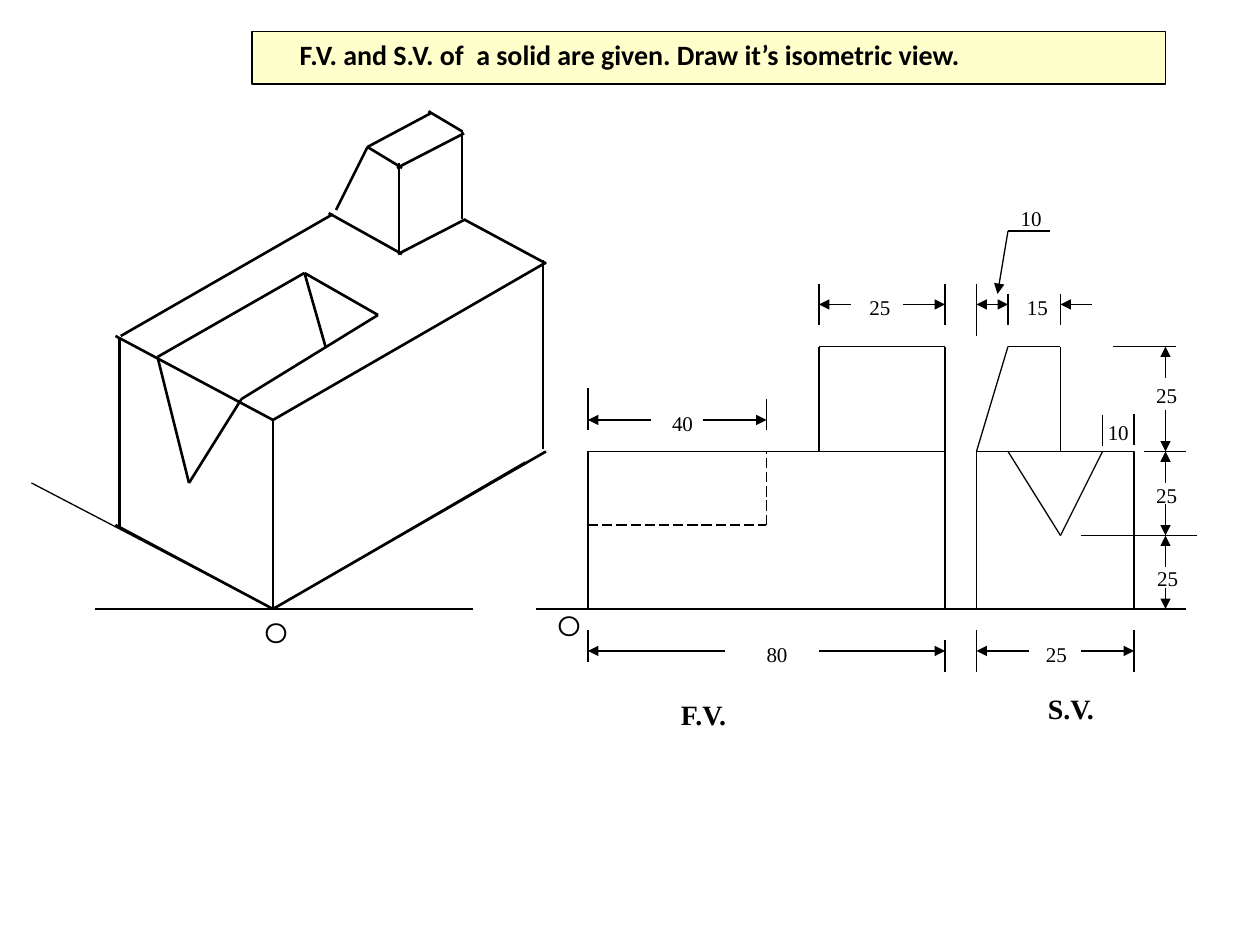
"""Builds a slide giving front and side views of a solid with its isometric view."""
import itertools

import lxml.etree
import pptx
import pptx.dml.color
import pptx.enum.dml
import pptx.enum.shapes
import pptx.enum.text
import pptx.oxml.ns
import pptx.util

COLORS = {"ink": "000000", "paper": "FFFFFF", "banner": "FFFFCC"}
INK = pptx.dml.color.RGBColor.from_string(COLORS["ink"])

deck = pptx.Presentation()
deck.slide_width = pptx.util.Inches(10)
deck.slide_height = pptx.util.Inches(7.5)
page = deck.slides.add_slide(deck.slide_layouts[6])
COLUMN = deck.slide_width / 120
ROW = deck.slide_height / 90


def draw_path(points, weight=0.75, dashed=False, ends=()):
    for (x1, y1), (x2, y2) in itertools.pairwise(points):
        line = page.shapes.add_connector(
            pptx.enum.shapes.MSO_CONNECTOR.STRAIGHT,
            round(x1 * COLUMN), round(y1 * ROW), round(x2 * COLUMN), round(y2 * ROW))
        line.line.color.rgb = INK
        line.line.width = pptx.util.Pt(weight)
        if dashed:
            line.line.dash_style = pptx.enum.dml.MSO_LINE.LONG_DASH
        for end in ends:
            tag = pptx.oxml.ns.qn(f"a:{end}End")
            lxml.etree.SubElement(line.line._get_or_add_ln(), tag, type="triangle")
        properties = line._element.spPr
        lxml.etree.SubElement(properties, pptx.oxml.ns.qn("a:effectLst"))


def add_label(text, x, y, width, height, size, font, bold=False):
    box = page.shapes.add_textbox(
        round((x - width / 2) * COLUMN), round((y - height / 2) * ROW),
        round(width * COLUMN), round(height * ROW))
    box.text_frame.word_wrap = False
    box.text_frame.text = text
    para = box.text_frame.paragraphs[0]
    para.alignment = pptx.enum.text.PP_ALIGN.CENTER
    span = para.runs[0]
    span.font.size = pptx.util.Pt(size)
    span.font.name = font
    span.font.bold = bold
    span.font.color.rgb = INK


panels = [(24, 3, 87, 5, "banner"), (93, 43, 15, 15, "paper")]
for left, top, width, height, color in panels:
    panel = page.shapes.add_shape(
        pptx.enum.shapes.MSO_SHAPE.RECTANGLE,
        round(left * COLUMN), round(top * ROW), round(width * COLUMN), round(height * ROW))
    panel.shadow.inherit = False
    panel.fill.solid()
    panel.fill.fore_color.rgb = pptx.dml.color.RGBColor.from_string(COLORS[color])
    panel.line.color.rgb = INK
    panel.line.width = pptx.util.Pt(0.75)

isometric_edges = [
    [(26, 58), (26, 40), (52, 25)],
    [(26, 58), (52, 43)],
    [(51.7, 42.8), (51.7, 24.8)],
    [(26, 40), (11, 32)],
    [(11.4, 50.2), (11.4, 32.2)],
    [(11.5, 32), (31.7, 20.4)],
    [(26, 58), (11, 50)],
    [(52, 25.1), (44.2, 20.9)],
    [(15, 34), (18, 46), (23, 38), (36, 30), (29, 26), (15, 34)],
    [(29, 26), (31, 33)],
    [(44.3, 20.9), (37.9, 24.2)],
    [(31.3, 20.3), (38.3, 24.2)],
    [(44, 20.9), (44, 12.4)],
    [(44.2, 12.7), (37.8, 16)],
    [(38.3, 16), (35, 14), (41, 10.8)],
    [(40.8, 10.6), (44, 12.5)],
    [(35, 14), (32, 20)],
    [(38, 24), (38, 15.5)],
]
for edge in isometric_edges:
    draw_path(edge, weight=1.5)

thin_paths = [
    [(9, 58), (45, 58)],
    [(50, 44), (26, 58), (3, 46)],
    [(51, 58), (113, 58)],
    [(56, 58), (56, 43), (90, 43)],
    [(56, 58), (90, 58), (90, 33), (78, 33), (78, 43)],
    [(93, 43), (96, 33), (101, 33), (101, 43)],
    [(96, 43), (101, 51), (105, 43)],
    [(96, 22), (100, 22)],
]
for path in thin_paths:
    draw_path(path)
draw_path([(56, 50), (73, 50), (73, 43)], dashed=True)

vertical_extensions = [
    (56, 37, 41), (73, 38, 41), (78, 27, 31), (90, 27, 31), (93, 27, 32),
    (96, 28, 31), (101, 28, 31), (105, 39.5, 42.5), (108, 39.4, 42.4),
    (56, 60, 63), (90, 61, 64), (93, 60, 64), (108, 60, 64),
]
for x, top, bottom in vertical_extensions:
    draw_path([(x, top), (x, bottom)])
for y, left, right in [(33, 106, 112), (43, 109, 113), (51, 103, 114)]:
    draw_path([(left, y), (right, y)])

horizontal_arrows = [
    (40, 62, 56), (40, 67, 73), (29, 81, 78), (29, 86, 90), (29, 104, 101),
    (62, 69, 56), (62, 78, 90), (62, 98, 93), (62, 103, 108),
]
for y, start, tip in horizontal_arrows:
    draw_path([(start, y), (tip, y)], ends=["tail"])
for start, tip in [(36, 33), (39, 43), (46, 43), (48, 51), (54, 51), (56, 58)]:
    draw_path([(111, start), (111, tip)], ends=["tail"])
draw_path([(93, 29), (96, 29)], ends=["head", "tail"])
draw_path([(96, 22), (95, 28)], ends=["tail"])

dimensions = [
    ("10", 98.2, 20.8), ("40", 65, 40.3), ("25", 83.8, 29.3), ("15", 98.8, 29.3),
    ("25", 111.1, 37.6), ("25", 111.1, 47.2), ("25", 111.2, 55.1),
    ("25", 100.6, 62.3), ("80", 74, 62.3), ("10", 106.5, 41.2),
]
for text, x, y in dimensions:
    add_label(text, x, y, 4.4, 3.6, 12, "Times New Roman")
for x, y in [(26.3, 60.2), (54.2, 59.6)]:
    add_label("O", x, y, 4.7, 4.4, 16, "Montserrat")
for text, x, y in [("F.V.", 67, 68), ("S.V.", 102, 67.5)]:
    add_label(text, x, y, 7.3, 4.4, 16, "Times New Roman", bold=True)
add_label("F.V. and S.V. of  a solid are given. Draw it’s isometric view.",
          60, 5.2, 66, 4.4, 16, "Calibri", bold=True)

deck.save("out.pptx")
